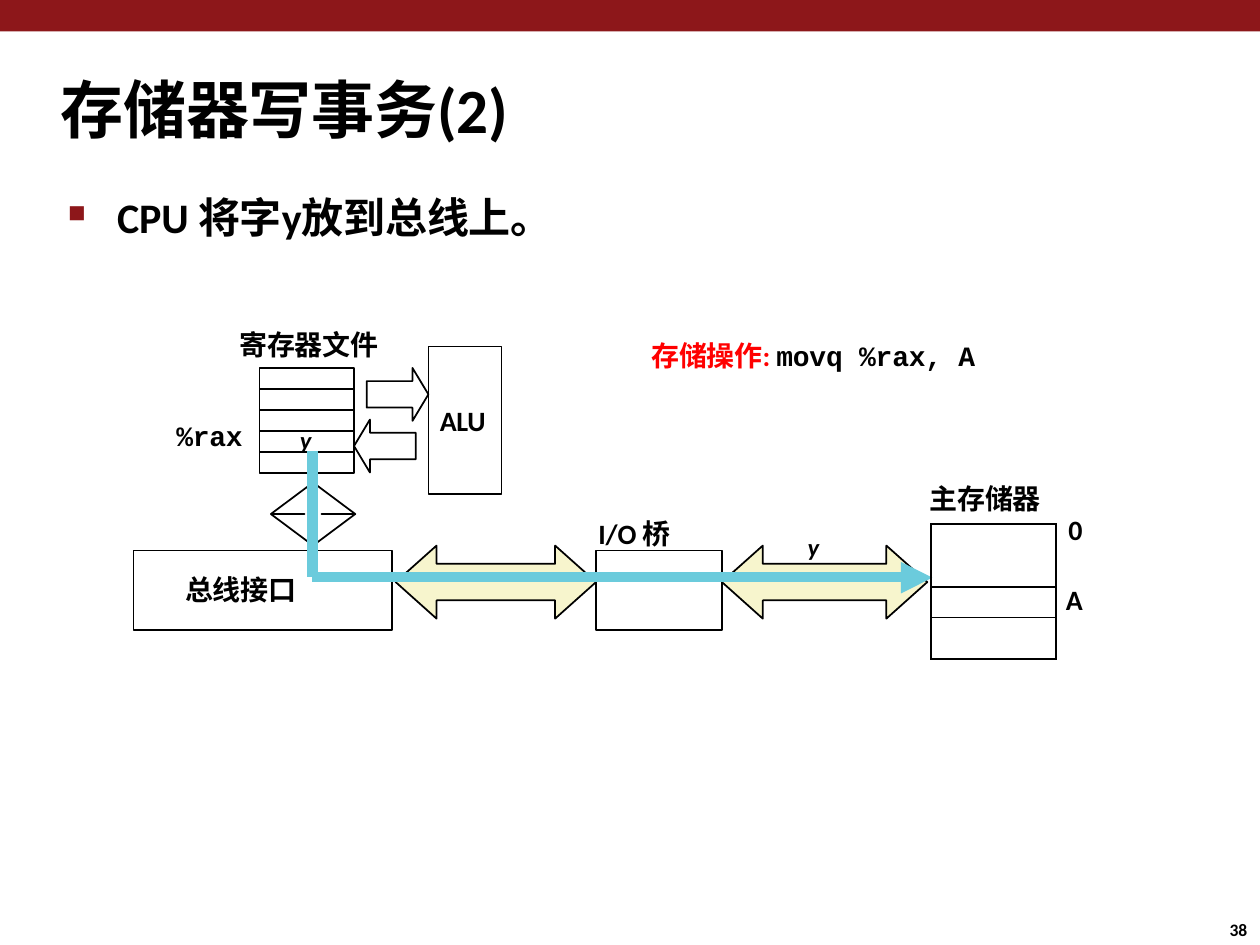
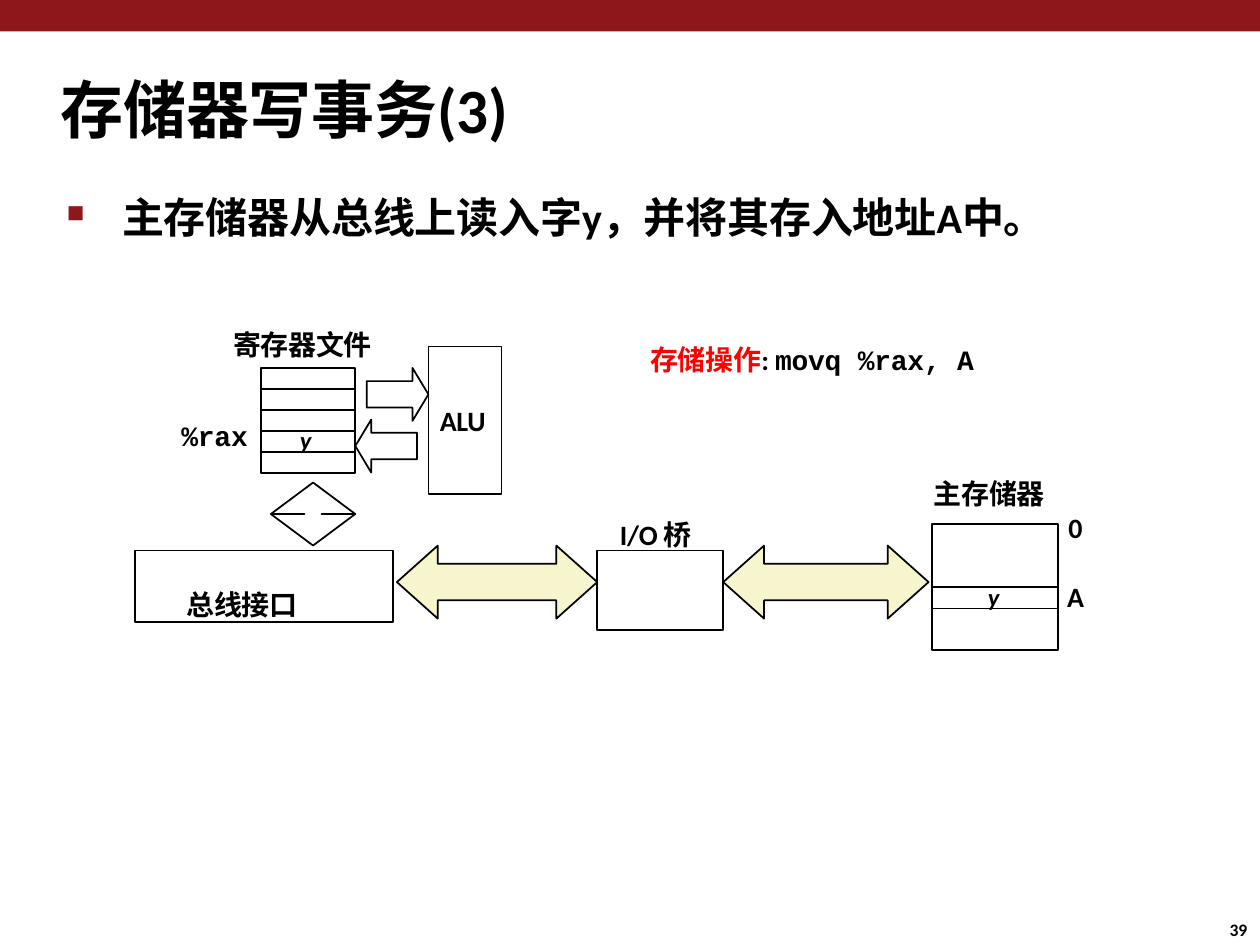
from lxml.etree import SubElement
from pptx import Presentation
from pptx.dml.color import RGBColor
from pptx.enum.shapes import MSO_CONNECTOR, MSO_SHAPE
from pptx.enum.text import MSO_ANCHOR
from pptx.oxml.ns import qn
from pptx.util import Inches, Pt

COLORS = {"band": "8D171A", "text": "000000", "accent": "FF0000",
          "bus": "F7F5CD", "signal": "6BCBDC"}
BODY_FONT, CODE_FONT = "Calibri", "Courier New"
TITLE_SIZE, BULLET_SIZE, LABEL_SIZE, VALUE_SIZE, NUMBER_SIZE = 36, 24, 16, 14, 10
REGISTER_COUNT, REGISTER_HEIGHT = 5, 1 / 6
MEMORY_ROWS = (0.5, 0.24, 0.33)

# Labels are (left, top, width, text); values are (left, top).
SLIDES = [
    {
        "number": "38", "title": "存储器写事务(2)",
        "bullet": "CPU 将字y放到总线上。", "bullet_indent": (0.41, -0.39),
        "shift": 0, "interface_height": 0.63, "signal_on_bus": True,
        "labels": [(1.9, 2.6, 1.26, "寄存器文件"), (1.47, 4.54, 1.23, "总线接口"),
                   (7.38, 3.82, 1.33, "主存储器"), (8.48, 4.07, 0.14, "0"),
                   (8.46, 4.62, 0.16, "A"), (4.75, 4.1, 0.97, "I/O 桥")],
        "register_name": (1.4, 3.32, 0.56),
        "values": [(2.38, 3.37), (6.41, 4.22)],
        "operation": (5.17, 2.69), "colon_color": "accent",
    },
    {
        "number": "39", "title": "存储器写事务(3)",
        "bullet": "主存储器从总线上读入字y，并将其存入地址A中。",
        "bullet_indent": (0.45, -0.44),
        "shift": 0.01, "interface_height": 0.57, "signal_on_bus": False,
        "labels": [(1.85, 2.6, 1.3, "寄存器文件"), (1.48, 4.66, 1.23, "总线接口"),
                   (7.41, 3.78, 1.32, "主存储器"), (8.48, 4.05, 0.14, "0"),
                   (8.47, 4.6, 0.16, "A"), (4.92, 4.11, 0.97, "I/O 桥")],
        "register_name": (1.44, 3.32, 0.56),
        "values": [(2.38, 3.37), (7.84, 4.62)],
        "operation": (5.16, 2.72), "colon_color": "text",
    },
]


def color(name):
    return RGBColor.from_string(COLORS[name])


def add_run(paragraph, text, size, font=BODY_FONT, color_name="text", italic=False):
    run = paragraph.add_run()
    run.text = text
    run.font.name, run.font.size = font, Pt(size)
    run.font.bold, run.font.italic = True, italic
    run.font.color.rgb = color(color_name)
    if not italic:
        run.font._element.set("spc", "-10")


def clear_margins(frame):
    frame.margin_left = frame.margin_right = frame.margin_top = frame.margin_bottom = 0


def add_text(slide, left, top, width, size, *runs):
    """Add one line of text; each run is (text, options for add_run)."""
    box = slide.shapes.add_textbox(Inches(left), Inches(top),
                                   Inches(width), Inches(size / 60))
    frame = box.text_frame
    clear_margins(frame)
    frame.word_wrap = True
    paragraph = frame.paragraphs[0]
    for text, options in runs:
        add_run(paragraph, text, size, **options)
    return paragraph


def add_block(slide, kind, left, top, width, height, fill=None, line="text", adjust=()):
    shape = slide.shapes.add_shape(kind, Inches(left), Inches(top),
                                   Inches(width), Inches(height))
    shape.shadow.inherit = False
    for index, value in enumerate(adjust):
        shape.adjustments[index] = value
    if fill:
        shape.fill.solid()
        shape.fill.fore_color.rgb = color(fill)
    else:
        shape.fill.background()
    if line:
        shape.line.color.rgb = color(line)
        shape.line.width = Pt(1)
    else:
        shape.line.fill.background()
    return shape


def add_bullet(slide, text, margin, indent):
    paragraph = add_text(slide, 0.52, 1.52, 8.37, BULLET_SIZE, (text, {}))
    properties = paragraph._p.get_or_add_pPr()
    properties.set("marL", str(Inches(margin)))
    properties.set("indent", str(Inches(indent)))
    bullet_color = SubElement(properties, qn("a:buClr"))
    SubElement(bullet_color, qn("a:srgbClr"), val=COLORS["band"])
    SubElement(properties, qn("a:buSzPct"), val="58000")
    SubElement(properties, qn("a:buChar"), char="■")


def add_frame(slide, content):
    """Add the band, title, bullet and slide number."""
    add_block(slide, MSO_SHAPE.RECTANGLE, 0, 0, 10, 0.25, "band", None)
    add_text(slide, 0.48, 0.56, 6.32, TITLE_SIZE, (content["title"], {}))
    add_bullet(slide, content["bullet"], *content["bullet_indent"])
    add_text(slide, 9.76, 7.29, 0.2, NUMBER_SIZE, (content["number"], {}))


def add_processor(slide, shift, interface_height):
    for row in range(REGISTER_COUNT):
        add_block(slide, MSO_SHAPE.RECTANGLE, 2.06 + shift,
                  2.92 + row * REGISTER_HEIGHT, 0.75, REGISTER_HEIGHT)
    add_block(slide, MSO_SHAPE.RIGHT_ARROW, 2.91, 2.92, 0.49, 0.42, adjust=(0.5, 0.3))
    add_block(slide, MSO_SHAPE.LEFT_ARROW, 2.81 + shift, 3.33, 0.49, 0.42,
              adjust=(0.5, 0.3))
    add_block(slide, MSO_SHAPE.UP_DOWN_ARROW, 2.15, 3.83, 0.67, 0.5, adjust=(0.5, 0.2))
    add_block(slide, MSO_SHAPE.RECTANGLE, 1.06 + shift, 4.37, 2.05, interface_height)

    unit = add_block(slide, MSO_SHAPE.RECTANGLE, 3.4, 2.75, 0.58, 1.17)
    frame = unit.text_frame
    clear_margins(frame)
    frame.margin_left = Inches(0.09)
    frame.vertical_anchor = MSO_ANCHOR.MIDDLE
    paragraph = frame.paragraphs[0]
    paragraph.alignment = 1
    add_run(paragraph, "ALU", LABEL_SIZE)


def add_buses(slide, shift):
    for left, width in ((3.14, 1.59), (5.73, 1.63)):
        add_block(slide, MSO_SHAPE.LEFT_RIGHT_ARROW, left + shift, 4.33, width, 0.58,
                  "bus", adjust=(0.5, 0.56))
    add_block(slide, MSO_SHAPE.RECTANGLE, 4.73 + shift, 4.37, 1, 0.63)


def add_signal(slide):
    """Draw the route of the word from the register to main memory."""
    for start, end in (((2.48, 3.58), (2.48, 4.58)), ((2.48, 4.58), (7.19, 4.58))):
        line = slide.shapes.add_connector(MSO_CONNECTOR.STRAIGHT,
                                          *map(Inches, start + end))
        line.line.color.rgb = color("signal")
        line.line.width = Pt(6)
        SubElement(line._element.spPr, qn("a:effectLst"))
    head = add_block(slide, MSO_SHAPE.ISOSCELES_TRIANGLE, 7.15, 4.46, 0.25, 0.25,
                     "signal", None)
    head.rotation = 90


def add_memory_table(slide):
    graphic = slide.shapes.add_table(len(MEMORY_ROWS), 1, Inches(7.39), Inches(4.16),
                                     Inches(0.99), Inches(sum(MEMORY_ROWS)))
    table = graphic.table
    table.first_row = table.horz_banding = False
    for row, height in zip(table.rows, MEMORY_ROWS):
        row.height = Inches(height)
        cell = row.cells[0]
        clear_margins(cell)
        SubElement(cell.text_frame.paragraphs[0]._p, qn("a:endParaRPr"), sz="1000")
        properties = cell._tc.get_or_add_tcPr()
        for side in ("a:lnL", "a:lnR", "a:lnT", "a:lnB"):
            border = SubElement(properties, qn(side), w=str(Pt(1)))
            fill = SubElement(border, qn("a:solidFill"))
            SubElement(fill, qn("a:srgbClr"), val=COLORS["text"])
        cell.fill.background()


def add_memory_blocks(slide):
    for top, height in ((4.16, 1), (4.66, 0.17)):
        add_block(slide, MSO_SHAPE.RECTANGLE, 7.4, top, 1, height)


def add_labels(slide, content):
    for left, top, width, text in content["labels"]:
        add_text(slide, left, top, width, LABEL_SIZE, (text, {}))
    add_text(slide, *content["register_name"], LABEL_SIZE, ("%rax", {"font": CODE_FONT}))
    add_text(slide, *content["operation"], 3.18, LABEL_SIZE,
             ("存储操作", {"color_name": "accent"}),
             (": ", {"color_name": content["colon_color"]}),
             ("movq %rax, A", {"font": CODE_FONT}))


def build_slide(presentation, content):
    slide = presentation.slides.add_slide(presentation.slide_layouts[6])
    add_frame(slide, content)
    add_buses(slide, content["shift"])
    add_processor(slide, content["shift"], content["interface_height"])
    for left, top in content["values"]:
        add_text(slide, left, top, 0.12, VALUE_SIZE, ("y", {"italic": True}))
    if content["signal_on_bus"]:
        add_signal(slide)
        add_memory_table(slide)
    else:
        add_memory_blocks(slide)
    add_labels(slide, content)


def main():
    presentation = Presentation()
    presentation.slide_width, presentation.slide_height = Inches(10), Inches(7.5)
    for content in SLIDES:
        build_slide(presentation, content)
    presentation.save("out.pptx")


if __name__ == "__main__":
    main()
